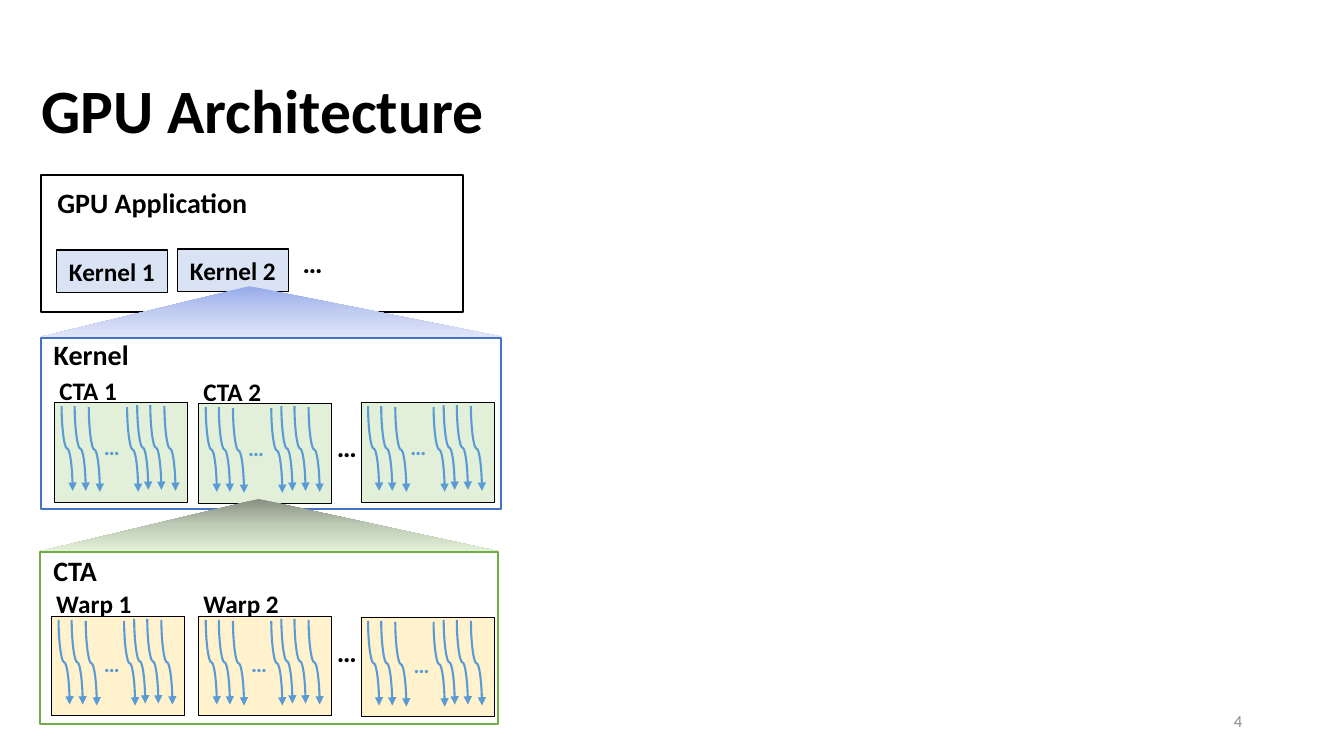
"""Build the GPU architecture slide: application, kernel and CTA levels."""
from copy import deepcopy
from dataclasses import dataclass

from pptx import Presentation
from pptx.dml.color import RGBColor
from pptx.enum.shapes import MSO_CONNECTOR, MSO_SHAPE
from pptx.enum.text import MSO_ANCHOR, PP_ALIGN
from pptx.oxml.ns import qn
from pptx.shapes.autoshape import Shape
from pptx.slide import Slide
from pptx.text.text import TextFrame
from pptx.util import Inches, Pt

CURVE = MSO_CONNECTOR.CURVE
RECTANGLE, TRIANGLE = MSO_SHAPE.RECTANGLE, MSO_SHAPE.ISOSCELES_TRIANGLE
TOP, MIDDLE = MSO_ANCHOR.TOP, MSO_ANCHOR.MIDDLE
LEFT, CENTER, RIGHT = PP_ALIGN.LEFT, PP_ALIGN.CENTER, PP_ALIGN.RIGHT

FONT = "Calibri"
COLORS = {
    "black": "000000",
    "white": "FFFFFF",
    "gray": "8C8C8C",
    "kernel_fill": "DAE3F3",
    "kernel_line": "4472C4",
    "cta_fill": "E2F0D9",
    "cta_line": "70AD47",
    "warp_fill": "FFF2CC",
    "thread": "5B9BD5",
    "kernel_beam_top": "96ABEA",
    "kernel_beam_middle": "C0CBF0",
    "kernel_beam_bottom": "E0E5F7",
    "cta_beam_top": "868F80",
    "cta_beam_middle": "BECBB6",
    "cta_beam_bottom": "E2F1D8",
}
PANEL_WIDTH, PANEL_HEIGHT = 1.32, 0.99
DOTS_WIDTH, DOTS_HEIGHT = 0.58, 0.37
THREAD_WIDTH, THREAD_HEIGHT = 0.11, 0.84
THREAD_OFFSETS = [(0.07, 0.04), (0.2, 0.04), (0.34, 0.05), (0.72, 0.05),
                  (0.82, 0.03), (0.95, 0.03), (1.09, 0.04)]


@dataclass(frozen=True)
class Area:
    left: float
    top: float
    width: float
    height: float

    def lengths(self) -> list[Inches]:
        return [Inches(value) for value in
                (self.left, self.top, self.width, self.height)]


@dataclass(frozen=True)
class Panel:
    left: float
    top: float
    label: str = ""


@dataclass(frozen=True)
class Level:
    title: str
    title_area: Area
    frame: Area
    line: str
    panel_fill: str
    panels: list[Panel]
    inner_dots: tuple[float, float]
    outer_dots: tuple[float, float]
    beam: Area
    beam_peak: float
    beam_colors: list[str]


LEVELS = [
    Level("Kernel", Area(0.05, 3.3, 1.71, 0.44), Area(0.41, 3.35, 4.56, 1.7),
          "kernel_line", "cta_fill",
          [Panel(3.58, 3.99), Panel(1.97, 4, "CTA 2"), Panel(0.54, 3.99, "CTA 1")],
          (0.28, 0.26), (3.15, 4.24), Area(0.41, 2.84, 4.57, 0.5), 0.452,
          ["kernel_beam_top", "kernel_beam_middle", "kernel_beam_bottom"]),
    Level("CTA", Area(0, 5.44, 1.49, 0.44), Area(0.4, 5.48, 4.54, 1.7),
          "cta_line", "warp_fill",
          [Panel(3.58, 6.12), Panel(1.97, 6.11, "Warp 2"), Panel(0.51, 6.11, "Warp 1")],
          (0.31, 0.29), (3.15, 6.28), Area(0.39, 4.95, 4.56, 0.52), 0.477,
          ["cta_beam_top", "cta_beam_middle", "cta_beam_bottom"]),
]


def color(name: str) -> RGBColor:
    return RGBColor.from_string(COLORS[name])


def write(frame: TextFrame, text: str, size: float, tint: str = "black",
          align: PP_ALIGN = LEFT, anchor: MSO_ANCHOR = TOP, bold: bool = True) -> None:
    frame.vertical_anchor = anchor
    para = frame.paragraphs[0]
    para.alignment = align
    span = para.add_run()
    span.text = text
    span.font.name = FONT
    span.font.size = Pt(size)
    span.font.bold = bold
    span.font.color.rgb = color(tint)


def add_text(page: Slide, area: Area, wrap: bool = True) -> TextFrame:
    frame = page.shapes.add_textbox(*area.lengths()).text_frame
    frame.word_wrap = wrap
    return frame


def add_dots(page: Slide, left: float, top: float, size: float, tint: str) -> None:
    frame = add_text(page, Area(left, top, DOTS_WIDTH, DOTS_HEIGHT))
    write(frame, "…", size, tint, CENTER, MIDDLE)


def add_box(page: Slide, area: Area, fill: str, line: str, weight: float) -> Shape:
    box = page.shapes.add_shape(RECTANGLE, *area.lengths())
    box.shadow.inherit = False
    box.fill.solid()
    box.fill.fore_color.rgb = color(fill)
    box.line.color.rgb = color(line)
    box.line.width = Pt(weight)
    return box


def add_thread(page: Slide, left: float, top: float) -> None:
    middle_x, middle_y = left + THREAD_WIDTH / 2, top + THREAD_HEIGHT / 2
    half_run, half_rise = THREAD_HEIGHT / 2, THREAD_WIDTH / 2
    thread = page.shapes.add_connector(
        CURVE, Inches(middle_x + half_run), Inches(middle_y - half_rise),
        Inches(middle_x - half_run), Inches(middle_y + half_rise))
    thread.line.color.rgb = color("thread")
    thread.line.width = Pt(1.5)
    properties = thread.line._get_or_add_ln().getparent()
    properties.find(qn("a:xfrm")).set("rot", str(270 * 60000))
    line = properties.find(qn("a:ln"))
    line.append(line.makeelement(qn("a:tailEnd"), {"type": "triangle"}))
    properties.append(properties.makeelement(qn("a:effectLst"), {}))


def add_panel(page: Slide, panel: Panel, level: Level) -> None:
    area = Area(panel.left, panel.top, PANEL_WIDTH, PANEL_HEIGHT)
    add_box(page, area, level.panel_fill, "black", 0.5)
    for across, down in THREAD_OFFSETS:
        add_thread(page, panel.left + across, panel.top + down)
    if panel.label:
        label_area = Area(panel.left - 0.05, panel.top - 0.32, 0.96, 0.4)
        write(add_text(page, label_area, False), panel.label, 18)
    across, down = level.inner_dots
    add_dots(page, panel.left + across, panel.top + down, 16, "thread")


def add_beam(page: Slide, level: Level) -> None:
    beam = page.shapes.add_shape(TRIANGLE, *level.beam.lengths())
    beam.shadow.inherit = False
    beam.adjustments[0] = level.beam_peak
    beam.line.fill.background()
    beam.fill.gradient()
    beam.fill.gradient_angle = 270
    first = beam.fill._xPr.find(qn("a:gradFill")).find(qn("a:gsLst"))[0]
    first.addnext(deepcopy(first))
    for index, (stop, name) in enumerate(zip(beam.fill.gradient_stops, level.beam_colors)):
        stop.position = index / 2
        stop.color.rgb = color(name)


def add_level(page: Slide, level: Level) -> None:
    add_box(page, level.frame, "white", level.line, 1.5)
    add_dots(page, *level.outer_dots, 20, "black")
    write(add_text(page, level.title_area), level.title, 20, align=CENTER)
    for panel in level.panels:
        add_panel(page, panel, level)
    add_beam(page, level)


def main() -> None:
    deck = Presentation()
    deck.slide_width, deck.slide_height = Inches(13.33), Inches(7.5)
    page = deck.slides.add_slide(deck.slide_layouts[6])
    write(add_text(page, Area(9.42, 6.95, 3, 0.4)), "4", 12, "gray", RIGHT, MIDDLE, False)
    add_box(page, Area(0.41, 1.74, 4.18, 1.36), "white", "black", 1.5)
    write(add_text(page, Area(0.47, 1.79, 3.24, 0.44)), "GPU Application", 20)
    add_dots(page, 2.81, 2.42, 20, "black")
    title = add_text(page, Area(0.31, 0.4, 12.79, 1.45))
    write(title, "GPU Architecture", 44, anchor=MIDDLE)
    title.paragraphs[0].line_spacing = 0.9
    for text, left, top in (("Kernel 2", 1.76, 2.47), ("Kernel 1", 0.56, 2.48)):
        box = add_box(page, Area(left, top, 1.1, 0.42), "kernel_fill", "black", 1)
        write(box.text_frame, text, 18, align=CENTER, anchor=MIDDLE)
    for level in LEVELS:
        add_level(page, level)
    deck.save("out.pptx")


if __name__ == "__main__":
    main()
